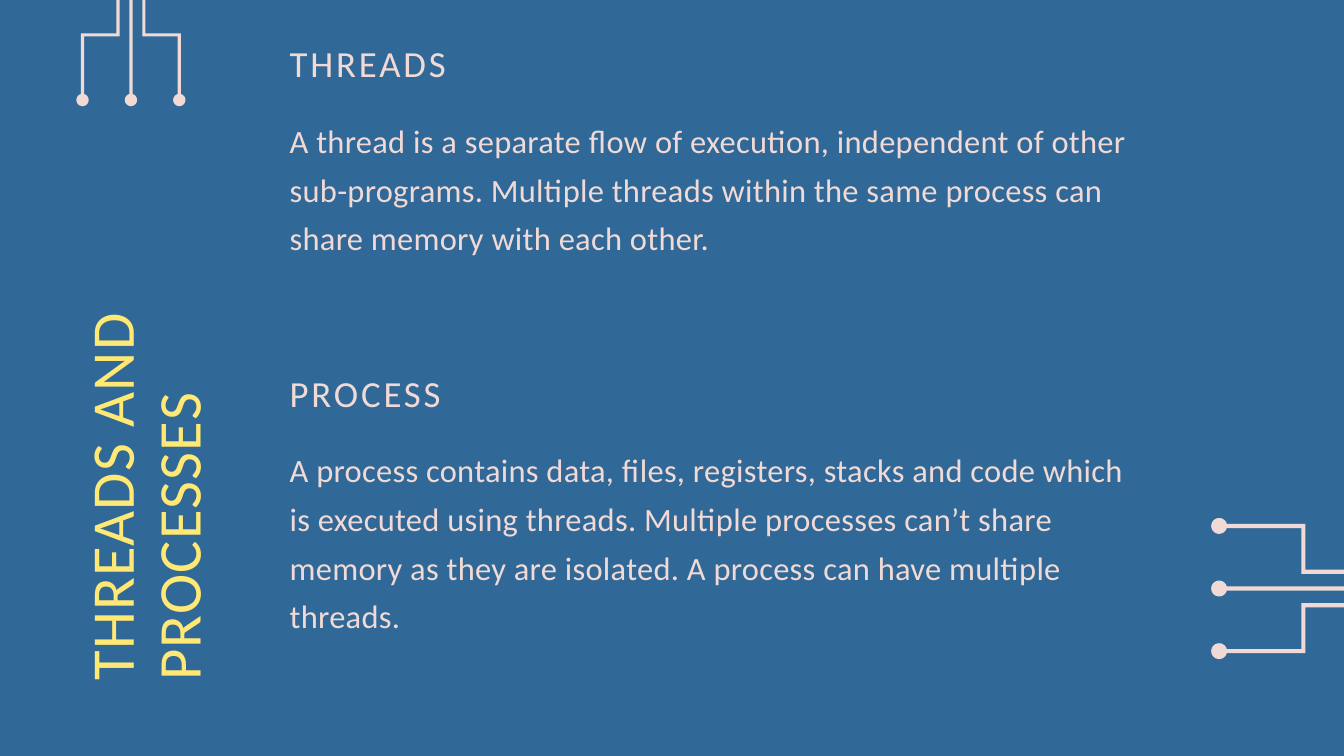
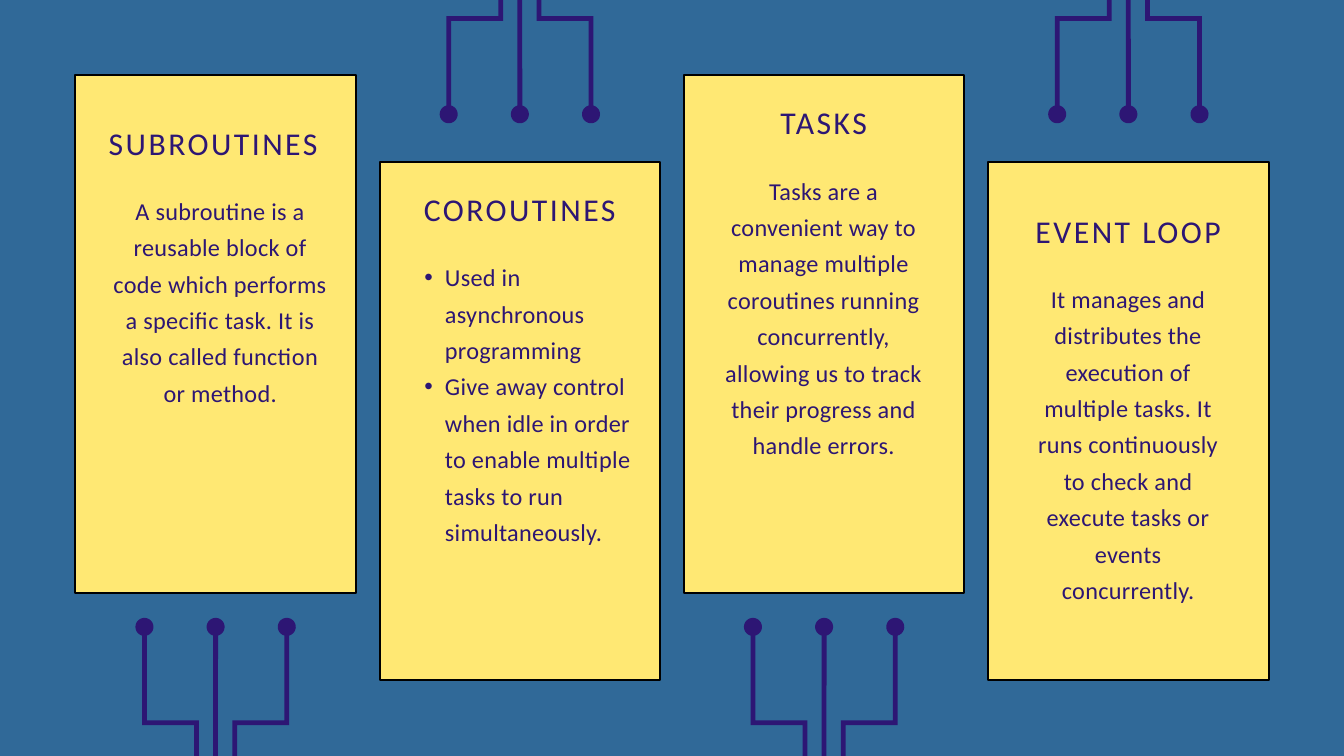
from math import cos, pi, sin

from lxml.etree import SubElement
from pptx import Presentation
from pptx.dml.color import RGBColor
from pptx.enum.shapes import MSO_SHAPE
from pptx.enum.text import MSO_ANCHOR, MSO_AUTO_SIZE, PP_ALIGN
from pptx.oxml.ns import qn
from pptx.util import Cm, Pt

BLUE = RGBColor(0x30, 0x69, 0x98)
YELLOW = RGBColor(0xFF, 0xE8, 0x73)
PINK = RGBColor(0xF1, 0xDA, 0xD5)
PURPLE = RGBColor(0x2D, 0x16, 0x74)
BLACK = RGBColor(0, 0, 0)
FONT = "Calibri"

# Text styles: size, line spacing, letter spacing (points), colour
TITLE = (65, 71.5, 1.3, YELLOW)
SECTION_HEADING = (39.4, 51.2, 3.1, PINK)
SECTION_BODY = (34.8, 52.1, 0.3, PINK)
CARD_HEADING = (34, 44.2, 2.7, PURPLE)
CARD_BODY = (26, 39, 0.3, PURPLE)


def write_text(box, area, lines, style, align=PP_ALIGN.LEFT, bullets=False):
    """Place a text shape (centimetres) and fill it with styled paragraphs."""
    size, leading, tracking, color = style
    box.left, box.top, box.width, box.height = [Cm(length) for length in area]
    frame = box.text_frame
    frame.margin_left = frame.margin_right = frame.margin_top = frame.margin_bottom = 0
    frame.word_wrap = True
    frame.vertical_anchor = MSO_ANCHOR.TOP
    frame.auto_size = MSO_AUTO_SIZE.SHAPE_TO_FIT_TEXT
    frame.text = "\n".join(lines)
    for para in frame.paragraphs:
        para.alignment = align
        para.line_spacing = Pt(leading)
        para.space_before = Pt(0)
        if bullets:
            para.level = 1
            properties = para._p.get_or_add_pPr()
            properties.set("marL", str(Cm(1.55)))
            properties.set("indent", str(Cm(-0.78)))
            SubElement(properties, qn("a:buFont")).set("typeface", "Arial")
            SubElement(properties, qn("a:buChar")).set("char", "•")
        for span in para.runs:
            span.font.name = FONT
            span.font.size = Pt(size)
            span.font.color.rgb = color
            span._r.get_or_add_rPr().set("spc", str(round(tracking * 100)))


def add_circuit(page, center_x, center_y, heading, scale, color):
    """Draw three traces from a row of dots; heading is the way they run."""
    radius, half, pitch, stem, bend, end = 0.34, 0.09, 2.69, 0.72, 3.62, 7.55
    run_x, run_y = heading
    builder = None
    for side in (-1, 0, 1):
        # Dot outline from one edge of the trace round to the other
        dot = [(pitch + radius * sin(angle), radius * cos(angle))
               for angle in (0.27 + step * (2 * pi - 0.54) / 32 for step in range(33))]
        if side:
            trace = [(pitch - half, bend - half), (stem - half, bend - half),
                     (stem - half, end), (stem + half, end),
                     (stem + half, bend + half), (pitch + half, bend + half)]
            outline = [(side * across, along) for across, along in dot + trace]
        else:
            dot = [(across - pitch, along) for across, along in dot]
            outline = dot + [(-half, end), (half, end)]
        points = [(Cm(center_x + scale * (along * run_x + across * run_y)),
                   Cm(center_y + scale * (along * run_y + across * run_x)))
                  for across, along in outline]
        if builder is None:
            builder = page.shapes.build_freeform(*points[0])
        else:
            builder.move_to(*points[0])
        builder.add_line_segments(points[1:], close=True)
    circuit = builder.convert_to_shape()
    circuit.shadow.inherit = False
    circuit.fill.solid()
    circuit.fill.fore_color.rgb = color
    circuit.line.fill.background()


UP, DOWN, RIGHT = (0, -1), (0, 1), (1, 0)

deck = Presentation()
deck.slide_width, deck.slide_height = Cm(50.8), Cm(28.58)
threads_page = deck.slides.add_slide(deck.slide_layouts[5])
cards_page = deck.slides.add_slide(deck.slide_layouts[6])
for page in deck.slides:
    page.background.fill.solid()
    page.background.fill.fore_color.rgb = BLUE

# Threads and processes: vertical title
title = threads_page.shapes.title
write_text(title, (-4.57, 13.03, 20.27, 5.13), ["THREADS AND PROCESSES"], TITLE)
title.rotation = 270

# Threads and processes: two sections
sections = [
    (1.42, 7.24, "THREADS",
     "A thread is a separate flow of execution, independent of other sub-programs. "
     "Multiple threads within the same process can share memory with each other."),
    (13.87, 9.07, "PROCESS",
     "A process contains data, files, registers, stacks and code which is executed "
     "using threads. Multiple processes can’t share memory as they are isolated. "
     "A process can have multiple threads."),
]
for top, body_height, heading, body in sections:
    for offset, height, text, style in ((0, 1.75, heading, SECTION_HEADING),
                                        (2.79, body_height, body, SECTION_BODY)):
        box = threads_page.shapes.add_textbox(0, 0, 0, 0)
        write_text(box, (10.95, top + offset, 32.46, height), [text], style)

add_circuit(threads_page, 4.95, 3.78, UP, 0.68, PINK)
add_circuit(threads_page, 46.08, 22.25, RIGHT, 0.88, PINK)

# Cards: text inset, text width, heading top, body height, heading, body lines
cards = [
    (1.26, 8.43, 4.55, 10.97, "SUBROUTINES",
     ["A subroutine is a reusable block of code which performs a specific task. "
      "It is also called function or method."]),
    (0.92, 8.76, 7.06, 15.04, "COROUTINES",
     ["Used in asynchronous programming",
      "Give away control when idle in order to enable multiple tasks to run "
      "simultaneously."]),
    (1.45, 7.67, 3.78, 15.04, "TASKS",
     ["Tasks are a convenient way to manage multiple coroutines running "
      "concurrently, allowing us to track their progress and handle errors."]),
    (1.46, 7.67, 7.87, 13.67, "EVENT LOOP",
     ["It manages and distributes the execution of multiple tasks. It runs "
      "continuously to check and execute tasks or events concurrently."]),
]
CARD_WIDTH, CARD_HEIGHT, CARD_PITCH = 10.6, 19.58, 11.5
for index, (inset, width, top, body_height, heading, lines) in enumerate(cards):
    left = 2.85 + index * CARD_PITCH
    is_low = index % 2 == 1
    card = cards_page.shapes.add_shape(
        MSO_SHAPE.RECTANGLE, Cm(left), Cm(6.12 if is_low else 2.85),
        Cm(CARD_WIDTH), Cm(CARD_HEIGHT))
    card.shadow.inherit = False
    card.fill.solid()
    card.fill.fore_color.rgb = YELLOW
    card.line.color.rgb = BLACK
    card.line.width = Pt(2.25)

    has_bullets = len(lines) > 1
    heading_box = cards_page.shapes.add_textbox(0, 0, 0, 0)
    write_text(heading_box, (left + inset, top, width, 1.53), [heading], CARD_HEADING,
               PP_ALIGN.LEFT if index == 0 else PP_ALIGN.CENTER)
    body_box = cards_page.shapes.add_textbox(0, 0, 0, 0)
    write_text(body_box, (left + inset, top + 2.59, width, body_height), lines, CARD_BODY,
               PP_ALIGN.LEFT if has_bullets else PP_ALIGN.CENTER, has_bullets)

    # Low cards hang under a circuit, high cards stand on one
    dots_top, direction = (4.32, UP) if is_low else (23.7, DOWN)
    add_circuit(cards_page, left + CARD_WIDTH / 2, dots_top, direction, 1, PURPLE)

deck.save("out.pptx")
